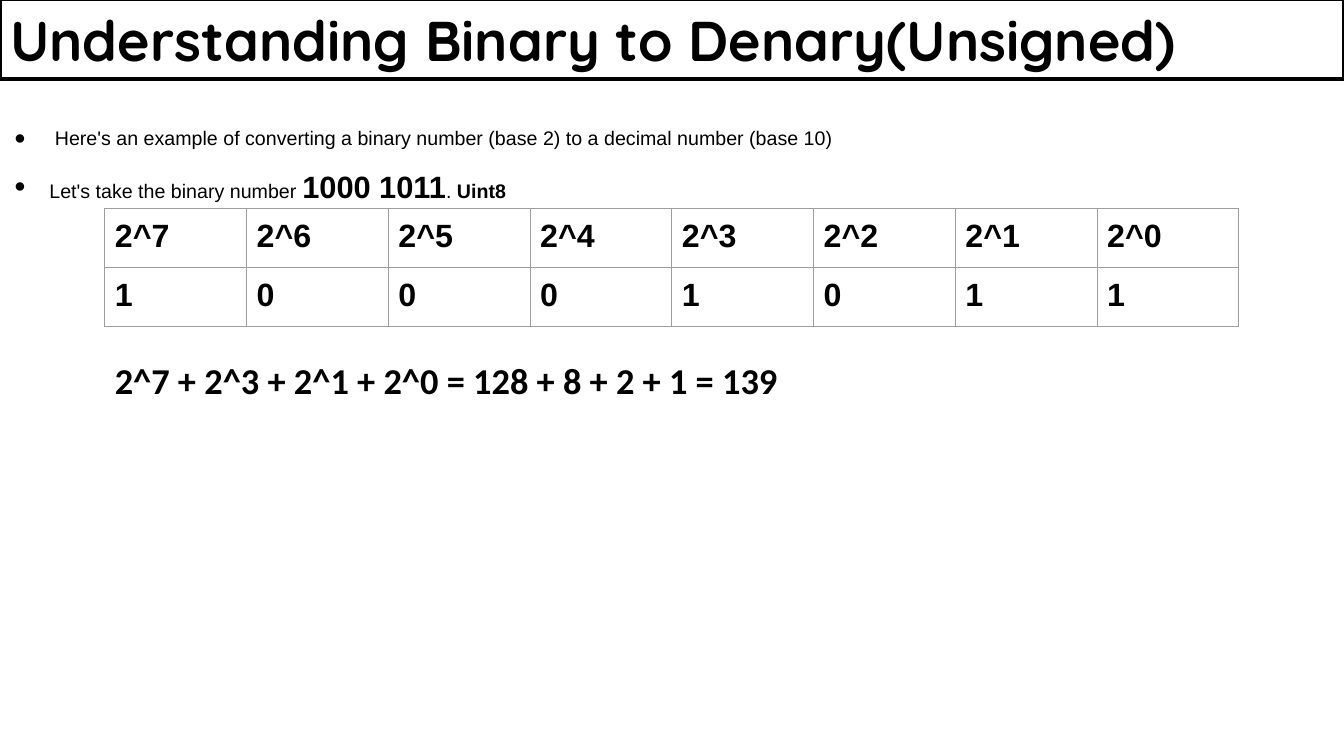
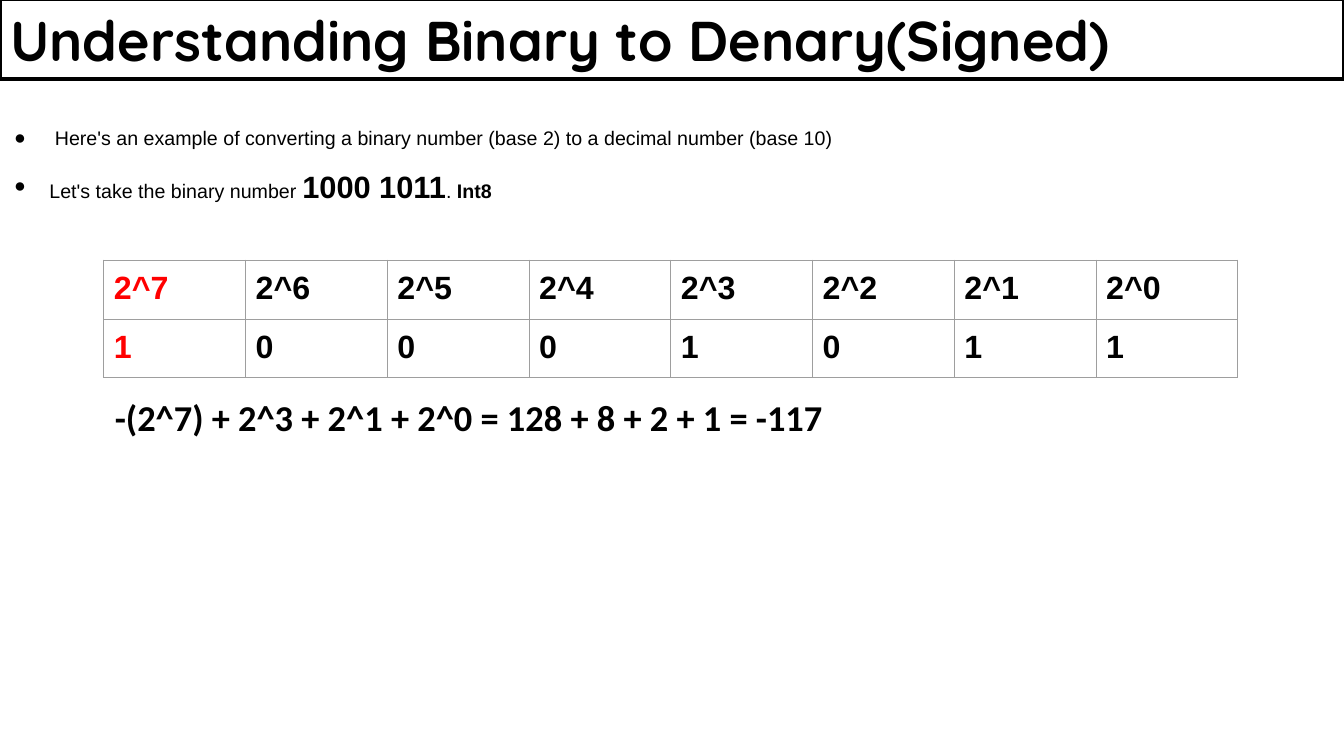
from dataclasses import dataclass

from lxml.etree import SubElement
from pptx import Presentation
from pptx.dml.color import RGBColor
from pptx.enum.text import MSO_ANCHOR, MSO_AUTO_SIZE, PP_ALIGN
from pptx.oxml.ns import qn
from pptx.util import Inches, Pt


@dataclass(frozen=True)
class Theme:
    ink: str = "000000"
    sign_bit: str = "FF0000"
    grid: str = "9E9E9E"
    title_font: str = "Quicksand"
    body_font: str = "Arial"
    sum_font: str = "Calibri"
    title_size: int = 40
    body_size: int = 14
    number_size: int = 22
    bit_size: int = 23
    sum_size: int = 26
    title_line: float = 3
    grid_line: float = 0.75


THEME = Theme()
BINARY = "1000 1011"
BITS = BINARY.replace(" ", "")


def add_text(paragraph, text, font=THEME.body_font, size=THEME.body_size,
             bold=False, color=THEME.ink):
    run = paragraph.add_run()
    run.text = text
    run.font.name = font
    run.font.size = Pt(size)
    run.font.bold = bold
    run.font.color.rgb = RGBColor.from_string(color)


def place(box, left, top, width, height):
    box.left, box.top = Inches(left), Inches(top)
    box.width, box.height = Inches(width), Inches(height)


def set_frame(frame, inset_x, inset_y, anchor=MSO_ANCHOR.TOP):
    frame.word_wrap = True
    frame.auto_size = MSO_AUTO_SIZE.NONE
    frame.vertical_anchor = anchor
    frame.margin_left = frame.margin_right = Inches(inset_x)
    frame.margin_top = frame.margin_bottom = Inches(inset_y)


def add_title(slide, text):
    title = slide.shapes.title
    place(title, 0, -0.01, 13.33, 0.79)
    title.fill.background()
    title.line.color.rgb = RGBColor.from_string(THEME.ink)
    title.line.width = Pt(THEME.title_line)
    set_frame(title.text_frame, 0.1, 0.05, MSO_ANCHOR.MIDDLE)
    heading = title.text_frame.paragraphs[0]
    heading.alignment = PP_ALIGN.LEFT
    add_text(heading, text, font=THEME.title_font, size=THEME.title_size, bold=True)


def format_bullet(paragraph):
    paragraph.alignment = PP_ALIGN.JUSTIFY
    paragraph.line_spacing = 1.5
    paragraph.space_before = paragraph.space_after = Pt(0)
    properties = paragraph._p.get_or_add_pPr()
    properties.set("marL", str(Inches(0.5)))
    properties.set("indent", str(Inches(-0.35)))
    bullet_color = SubElement(properties, qn("a:buClr"))
    SubElement(bullet_color, qn("a:srgbClr"), val=THEME.ink)
    SubElement(properties, qn("a:buSzPts"), val=str(THEME.body_size * 100))
    SubElement(properties, qn("a:buFont"), typeface=THEME.body_font)
    SubElement(properties, qn("a:buChar"), char="●")


def add_introduction(slide, number_type):
    body = slide.placeholders[1]
    place(body, -0.01, 1.13, 13.33, 1.14)
    frame = body.text_frame
    set_frame(frame, 0, 0)
    purpose, example = frame.paragraphs[0], frame.add_paragraph()
    format_bullet(purpose)
    format_bullet(example)
    add_text(purpose, " Here's an example of converting a binary number "
                      "(base 2) to a decimal number (base 10)")
    add_text(example, "Let's take the binary number ")
    add_text(example, BINARY, size=THEME.number_size, bold=True)
    add_text(example, ". ")
    add_text(example, number_type, bold=True)


def format_cell(cell):
    cell.margin_left = cell.margin_right = Inches(0.1)
    cell.margin_top = cell.margin_bottom = Inches(0.1)
    properties = cell._tc.get_or_add_tcPr()
    for side in ("lnL", "lnR", "lnT", "lnB"):
        border = SubElement(properties, qn(f"a:{side}"), w=str(Pt(THEME.grid_line)))
        fill = SubElement(border, qn("a:solidFill"))
        SubElement(fill, qn("a:srgbClr"), val=THEME.grid)
    cell.fill.background()


def add_bit_table(slide, left, top, signed):
    powers = [f"2^{power}" for power in reversed(range(len(BITS)))]
    bit_table = slide.shapes.add_table(
        2, len(BITS), Inches(left), Inches(top), Inches(11.25), Inches(1.17)).table
    bit_table.first_row = bit_table.horz_banding = False
    for row, values in enumerate((powers, BITS)):
        for column, value in enumerate(values):
            cell = bit_table.cell(row, column)
            format_cell(cell)
            color = THEME.sign_bit if signed and column == 0 else THEME.ink
            add_text(cell.text_frame.paragraphs[0], value,
                     size=THEME.bit_size, bold=True, color=color)


def add_sum(slide, top, text):
    sum_box = slide.shapes.add_textbox(
        Inches(1.04), Inches(top), Inches(11.25), Inches(0.64))
    set_frame(sum_box.text_frame, 0.1, 0.1)
    add_text(sum_box.text_frame.paragraphs[0], text,
             font=THEME.sum_font, size=THEME.sum_size, bold=True)


def add_conversion_slide(deck, kind, number_type, table_at, sum_top, sum_text,
                         signed=False):
    slide = deck.slides.add_slide(deck.slide_layouts[1])
    add_title(slide, f"Understanding Binary to Denary({kind})")
    add_introduction(slide, number_type)
    add_bit_table(slide, *table_at, signed)
    add_sum(slide, sum_top, sum_text)


def main():
    deck = Presentation()
    deck.slide_width, deck.slide_height = Inches(13.33), Inches(7.5)

    # Unsigned: every bit adds its power of two
    add_conversion_slide(deck, "Unsigned", "Uint8", (1.04, 2.07), 3.45,
                         "2^7 + 2^3 + 2^1 + 2^0 = 128 + 8 + 2 + 1 = 139")

    # Signed: the leading bit counts as negative
    add_conversion_slide(deck, "Signed", "Int8", (1.03, 2.58), 3.82,
                         "-(2^7) + 2^3 + 2^1 + 2^0 = 128 + 8 + 2 + 1 = -117",
                         signed=True)

    deck.save("out.pptx")


if __name__ == "__main__":
    main()
